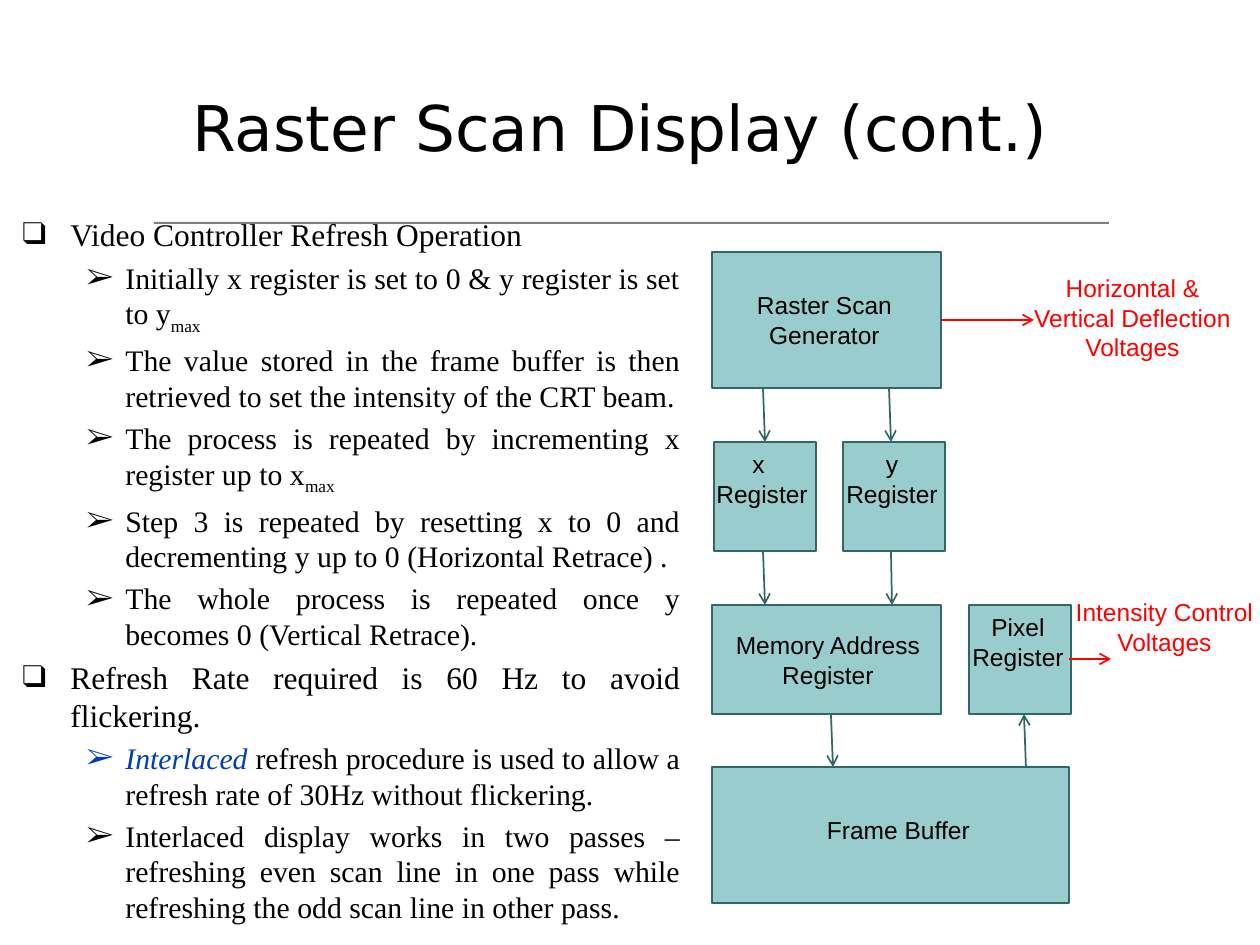
from lxml import etree
from pptx import Presentation
from pptx.dml.color import RGBColor
from pptx.enum.shapes import MSO_CONNECTOR, MSO_SHAPE
from pptx.enum.text import MSO_ANCHOR, PP_ALIGN
from pptx.oxml.ns import qn
from pptx.util import Emu, Pt

RECTANGLE = MSO_SHAPE.RECTANGLE
STRAIGHT = MSO_CONNECTOR.STRAIGHT
CENTER = PP_ALIGN.CENTER
JUSTIFY = PP_ALIGN.JUSTIFY
MIDDLE = MSO_ANCHOR.MIDDLE
TOP = MSO_ANCHOR.TOP
TITLE_ONLY = 5
EMU_PER_PIXEL = 914400 / 126
BODY_FONT = "Times New Roman"

COLORS = {
    "text": "000000",
    "accent": "003DB8",
    "signal": "FF0000",
    "box": "99CCCC",
    "outline": "336666",
    "rule": "808080",
}

LEVELS = [
    {"size": 18, "margin": 48, "hanging": 48, "bullet": "❑"},
    {"size": 17, "margin": 103, "hanging": 39, "bullet": "➢"},
]

OUTLINE = [
    (0, [("Video Controller Refresh Operation", "")]),
    (1, [("Initially x register is set to 0 & y register is set to y", ""), ("max", "subscript")]),
    (1, [("The value stored in the frame buffer is then retrieved to set "
          "the intensity of the CRT beam.", "")]),
    (1, [("The process is repeated by incrementing x register up to x", ""), ("max", "subscript")]),
    (1, [("Step 3 is repeated by resetting x to 0 and decrementing y "
          "up to 0 (Horizontal Retrace) .", "")]),
    (1, [("The whole process is repeated once y becomes 0 (Vertical Retrace).", "")]),
    (0, [("Refresh Rate required is 60 Hz to avoid flickering.", "")]),
    (1, [("Interlaced", "emphasis"),
         (" refresh procedure is used to allow a refresh rate of 30Hz without flickering.", "")]),
    (1, [("Interlaced display works in two passes – refreshing even scan line in one pass "
          "while refreshing the odd scan line in other pass.", "")]),
]

BLOCKS = [
    ((712, 252, 229, 136), (725, 284, 199, 72), ["Raster Scan Generator"]),
    ((714, 442, 102, 109), (703, 443, 118, 93), ["x ", "Register"]),
    ((843, 442, 102, 109), (833, 443, 118, 93), ["y", "Register"]),
    ((969, 605, 102, 109), (959, 606, 118, 93), ["Pixel Register"]),
    ((712, 605, 229, 109), (721, 624, 214, 74), ["Memory Address Register"]),
    ((712, 767, 357, 136), (809, 809, 179, 43), ["Frame Buffer"]),
]

SIGNALS = [
    ((1018, 267, 229, 93), ["Horizontal & Vertical Deflection Voltages"]),
    ((1050, 591, 229, 93), ["Intensity Control Voltages"]),
]

ARROWS = [
    ((941, 320), (1034, 320), "signal"),
    ((1069, 659), (1111, 659), "signal"),
    ((763, 388), (765, 442), "outline"),
    ((889, 388), (891, 442), "outline"),
    ((763, 551), (765, 605), "outline"),
    ((891, 551), (892, 605), "outline"),
    ((831, 714), (833, 767), "outline"),
    ((1026, 767), (1024, 714), "outline"),
]


def pixels(*values):
    return [Emu(round(value * EMU_PER_PIXEL)) for value in values]


def color(name):
    return RGBColor.from_string(COLORS[name])


def set_attributes(target, values):
    for name, value in values.items():
        setattr(target, name, value)


def add_run(paragraph, text, size, font, color_name="text", italic=False):
    run = paragraph.add_run()
    run.text = text
    set_attributes(run.font, {"size": Pt(size), "name": font, "italic": italic})
    run.font.color.rgb = color(color_name)
    return run


def add_rectangle(slide, box, fill, line=None):
    shape = slide.shapes.add_shape(RECTANGLE, *pixels(*box))
    shape.shadow.inherit = False
    shape.fill.solid()
    shape.fill.fore_color.rgb = color(fill)
    if line:
        shape.line.color.rgb = color(line)
        shape.line.width = Pt(1)
    else:
        shape.line.fill.background()


def add_text_frame(slide, box):
    frame = slide.shapes.add_textbox(*pixels(*box)).text_frame
    set_attributes(frame, {"word_wrap": True, "vertical_anchor": TOP})
    return frame


def add_label(slide, box, lines, color_name):
    frame = add_text_frame(slide, box)
    for index, line in enumerate(lines):
        paragraph = frame.add_paragraph() if index else frame.paragraphs[0]
        paragraph.alignment = CENTER
        add_run(paragraph, line, 14, "Arial", color_name)


def add_arrow(slide, start, end, color_name):
    connector = slide.shapes.add_connector(STRAIGHT, *pixels(*start, *end))
    connector.line.color.rgb = color(color_name)
    connector.line.width = Pt(1)
    line = connector.line._get_or_add_ln()
    etree.SubElement(line, qn("a:tailEnd"), type="arrow")
    etree.SubElement(connector._element.spPr, qn("a:effectLst"))


def set_bullet(paragraph, level):
    margin, hanging = pixels(level["margin"], level["hanging"])
    properties = paragraph._p.get_or_add_pPr()
    properties.set("marL", str(margin))
    properties.set("indent", str(-hanging))
    etree.SubElement(properties, qn("a:buFont"), typeface=BODY_FONT)
    etree.SubElement(properties, qn("a:buChar"), char=level["bullet"])


def add_outline(slide, box, items):
    frame = add_text_frame(slide, box)
    for index, (depth, runs) in enumerate(items):
        paragraph = frame.add_paragraph() if index else frame.paragraphs[0]
        level = LEVELS[depth]
        set_attributes(paragraph, {
            "alignment": JUSTIFY, "level": depth,
            "line_spacing": 1.0, "space_before": Pt(3.6),
        })
        set_bullet(paragraph, level)
        for text, style in runs:
            emphasis = style == "emphasis"
            run = add_run(paragraph, text, level["size"], BODY_FONT,
                          "accent" if emphasis else "text", emphasis)
            if style == "subscript":
                run.font._element.set("baseline", "-25000")


def format_title(slide, box, text):
    title = slide.shapes.title
    set_attributes(title, dict(zip(("left", "top", "width", "height"), pixels(*box))))
    set_attributes(title.text_frame, {"word_wrap": True, "vertical_anchor": MIDDLE})
    paragraph = title.text_frame.paragraphs[0]
    paragraph.alignment = CENTER
    add_run(paragraph, text, 36, "DejaVu Sans")


def main():
    presentation = Presentation()
    presentation.slide_width, presentation.slide_height = pixels(1260, 945)
    slide = presentation.slides.add_slide(presentation.slide_layouts[TITLE_ONLY])
    add_rectangle(slide, (154, 222, 955, 2), "rule")
    add_outline(slide, (10, 209, 683, 714), OUTLINE)
    format_title(slide, (0, 63, 1260, 126), "Raster Scan Display (cont.) ")
    for box, label_box, lines in BLOCKS:
        add_rectangle(slide, box, "box", "outline")
        add_label(slide, label_box, lines, "text")
    for box, lines in SIGNALS:
        add_label(slide, box, lines, "signal")
    for start, end, color_name in ARROWS:
        add_arrow(slide, start, end, color_name)
    presentation.save("out.pptx")


main()
